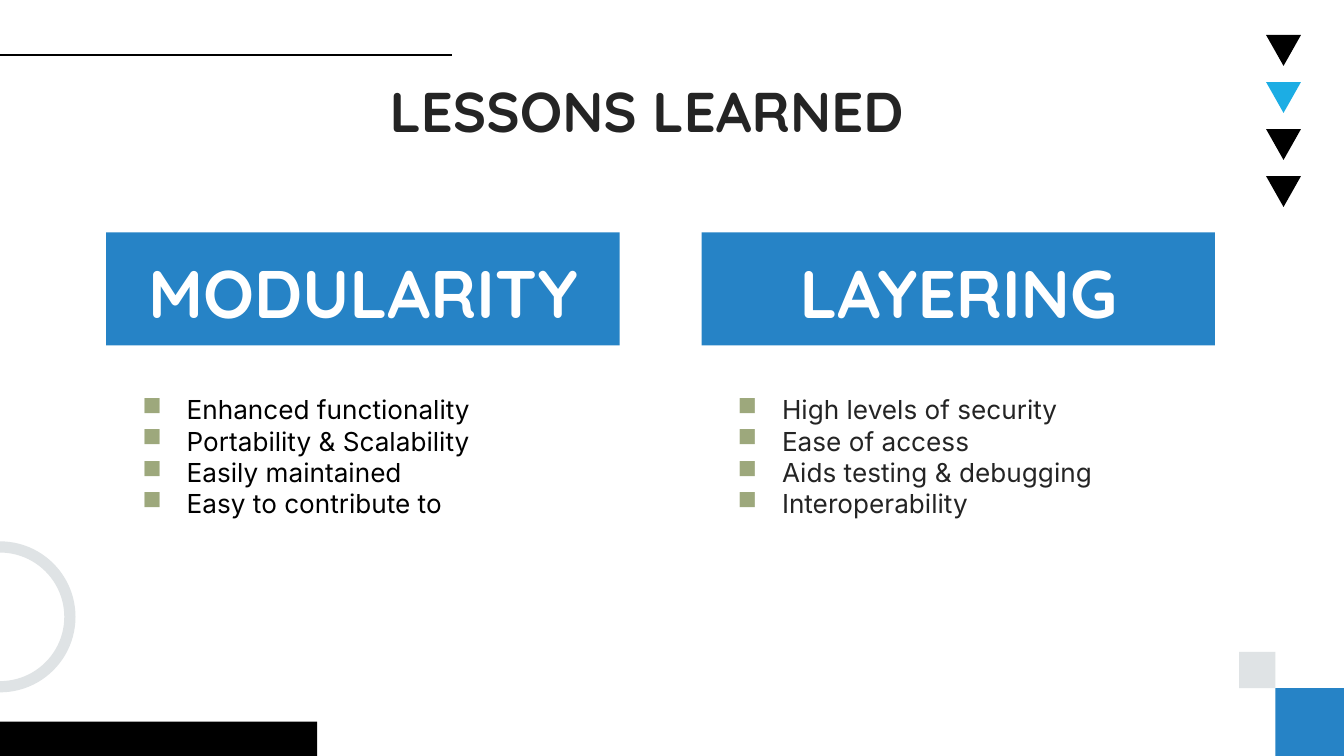
from lxml.etree import SubElement
from pptx import Presentation
from pptx.dml.color import RGBColor
from pptx.enum.shapes import MSO_CONNECTOR as CONN, MSO_SHAPE as SHAPE
from pptx.enum.text import MSO_ANCHOR as ANCHOR, PP_ALIGN as ALIGN
from pptx.oxml.ns import qn
from pptx.util import Inches, Pt

TITLE = "LESSONS LEARNED"
COLUMNS = [
    ("MODULARITY", "black", ["Enhanced functionality", "Portability & Scalability",
                             "Easily maintained", "Easy to contribute to"]),
    ("LAYERING", "ink", ["High levels of security", "Ease of access",
                         "Aids testing & debugging", "Interoperability"]),
]
TRIANGLES = ["black", "cyan", "black", "black"]
BLOCKS = [
    ("black", (0, 5.37, 2.36, 0.26)),
    ("blue", (9.49, 5.12, 0.51, 0.51)),
    ("grey", (9.22, 4.85, 0.27, 0.27)),
]
THEME = {
    "black": "000000", "ink": "242424", "white": "FFFFFF", "blue": "2683C6",
    "cyan": "1CADE4", "grey": "DFE3E5", "bullet": "9DA87C",
    "display": "Quicksand", "body": "Inter",
    "title_size": 30, "heading_size": 36, "body_size": 14,
}
WIDTH = 10
HEIGHT = WIDTH * 9 / 16
COL_LEFT, COL_STEP, COL_WIDTH = 0.79, 4.43, 3.82


def color(name):
    return RGBColor.from_string(THEME[name])


def add_shape(slide, kind, box, fill=None):
    s = slide.shapes.add_shape(kind, *map(Inches, box))
    s.shadow.inherit = False
    s.line.fill.background()
    if fill:
        s.fill.solid()
        s.fill.fore_color.rgb = color(fill)
    else:
        s.fill.background()
    return s


def add_text(slide, box):
    return slide.shapes.add_textbox(*map(Inches, box)).text_frame


def set_frame(tf, inset, anchor=ANCHOR.TOP):
    tf.word_wrap = True
    tf.vertical_anchor = anchor
    tf.margin_left = tf.margin_right = Inches(0.1)
    tf.margin_top = tf.margin_bottom = Inches(inset)


def add_run(p, text, face, size, ink, bold=False):
    r = p.add_run()
    r.text = text
    r.font.name = THEME[face]
    r.font.size = Pt(THEME[size])
    r.font.bold = bold
    r.font.color.rgb = color(ink)


def set_bullet(p):
    pPr = p._p.get_or_add_pPr()
    pPr.set("marL", str(Inches(0.5)))
    pPr.set("indent", str(Inches(-0.33)))
    clr = SubElement(pPr, qn("a:buClr"))
    SubElement(clr, qn("a:srgbClr"), val=THEME["bullet"])
    SubElement(pPr, qn("a:buChar"), char="■")


def add_decor(slide):
    for fill, box in BLOCKS:
        add_shape(slide, SHAPE.RECTANGLE, box, fill)
    for i, fill in enumerate(TRIANGLES):
        box = (9.42, 0.26 + i * 0.35, 0.26, 0.23)
        add_shape(slide, SHAPE.ISOSCELES_TRIANGLE, box, fill).rotation = 180
    ring = add_shape(slide, SHAPE.OVAL, (-0.52, 4.07, 1.04, 1.04))
    ring.line.color.rgb = color("grey")
    ring.line.width = Pt(6)
    rule = slide.shapes.add_connector(
        CONN.STRAIGHT, Inches(0), Inches(0.41), Inches(3.36), Inches(0.41))
    rule.line.color.rgb = color("black")
    rule.line.width = Pt(0.75)
    SubElement(rule._element.spPr, qn("a:effectLst"))


def add_column(slide, left, heading, ink, items):
    banner = add_shape(slide, SHAPE.RECTANGLE, (left, 1.73, COL_WIDTH, 0.84), "blue")
    set_frame(banner.text_frame, 0.1, ANCHOR.BOTTOM)
    p = banner.text_frame.paragraphs[0]
    p.alignment = ALIGN.CENTER
    add_run(p, heading, "display", "heading_size", "white", True)

    tf = add_text(slide, (left, 2.83, COL_WIDTH, 2))
    set_frame(tf, 0.1)
    for i, item in enumerate(items):
        p = tf.add_paragraph() if i else tf.paragraphs[0]
        set_bullet(p)
        add_run(p, item, "body", "body_size", ink)


def main():
    """Build the lessons learned slide."""
    prs = Presentation()
    prs.slide_width, prs.slide_height = Inches(WIDTH), Inches(HEIGHT)
    slide = prs.slides.add_slide(prs.slide_layouts[6])
    add_decor(slide)
    for i, column in enumerate(COLUMNS):
        add_column(slide, COL_LEFT + i * COL_STEP, *column)
    tf = add_text(slide, (2.8, 0.52, 5.28, 0.61))
    set_frame(tf, 0.05)
    add_run(tf.paragraphs[0], TITLE, "display", "title_size", "ink", True)
    prs.save("out.pptx")


if __name__ == "__main__":
    main()
